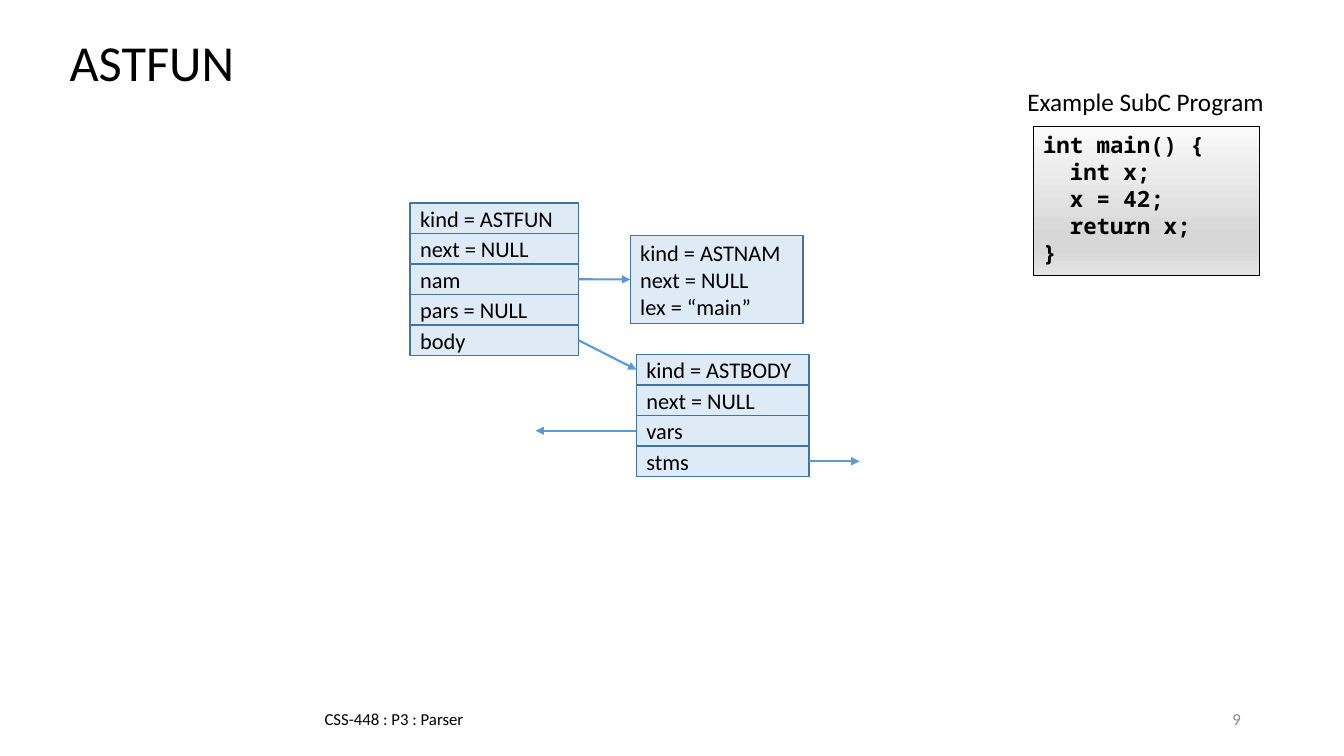
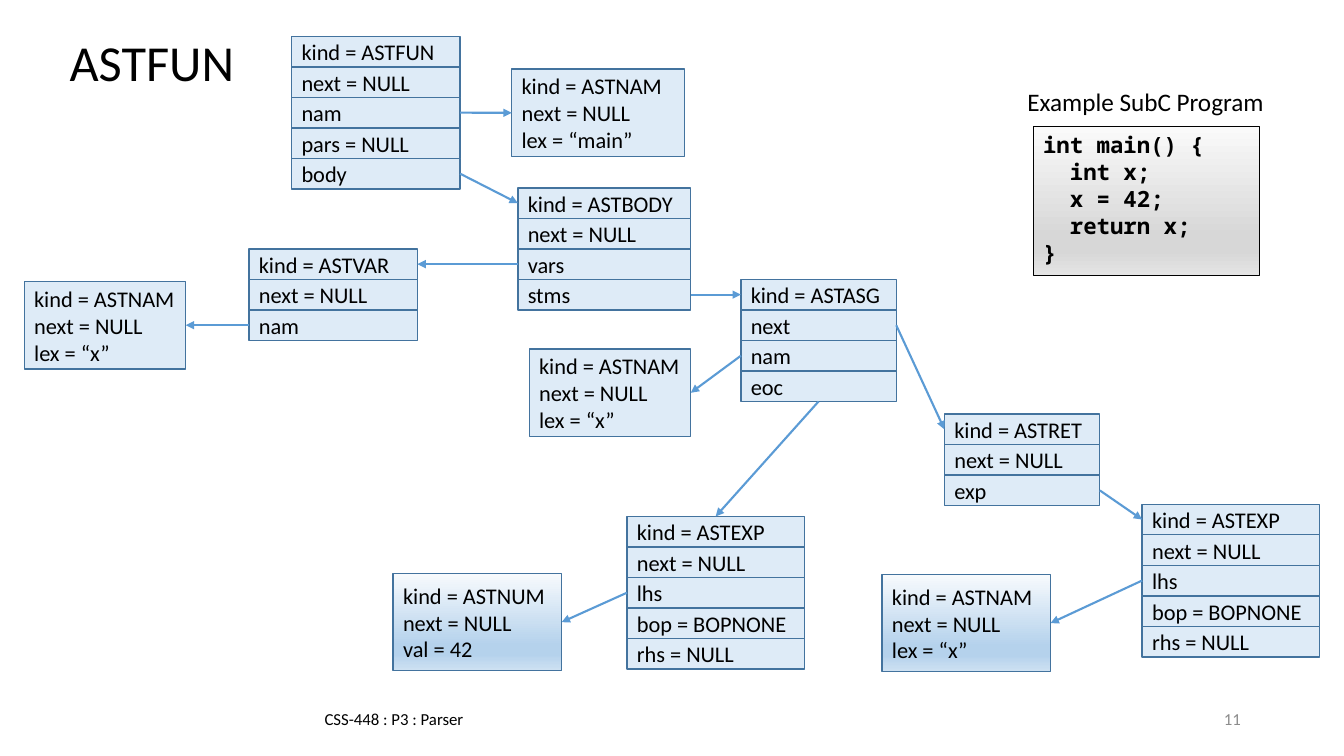
import pptx
import pptx.dml.color
import pptx.enum.shapes
import pptx.enum.text
import pptx.oxml.ns
import pptx.util
from lxml import etree

Pt = pptx.util.Pt
qn = pptx.oxml.ns.qn
ALIGN = pptx.enum.text.PP_ALIGN
ANCHOR = pptx.enum.text.MSO_ANCHOR

TOP, LEFT, BOTTOM, RIGHT = range(4)
BLACK, GREY = "000000", "8C8C8C"
NODE_FILL, NODE_LINE, ARROW = "DEEBF7", "43739E", "5B9BD5"
BLUE_FADE = ((0, "F7FAFD"), (74, "B5D2EC"), (83, "B5D2EC"), (100, "CEE1F2"))
GREY_FADE = ((0, "FAFAFA"), (74, "D7D7D7"), (83, "D7D7D7"), (100, "E4E4E4"))
BODY_FONT, CODE_FONT = "Calibri", "Noto Sans Mono"
ROW_HEIGHT = 21.8
FUN_WIDTH, BODY_WIDTH, NAME_WIDTH, STATEMENT_WIDTH, EXP_WIDTH = 120.4, 123.4, 115.4, 111, 126.8
PROGRAM = ("int main() {", "  int x;", "  x = 42;", "  return x;", "}")
X_NAME = ("kind = ASTNAM", "next = NULL", "lex = “x”")
EXPRESSION = ("kind = ASTEXP", "next = NULL", "lhs", "bop = BOPNONE", "rhs = NULL")


def rgb(value):
    return pptx.dml.color.RGBColor.from_string(value)


def write(frame, lines, size, color=BLACK, font=BODY_FONT, bold=False,
          align=ALIGN.LEFT, anchor=ANCHOR.MIDDLE, spacing=None):
    frame.word_wrap = True
    frame.vertical_anchor = anchor
    for index, line in enumerate(lines):
        paragraph = frame.add_paragraph() if index else frame.paragraphs[0]
        paragraph.alignment = align
        if spacing:
            paragraph.line_spacing = spacing
        run = paragraph.add_run()
        run.text = line
        run.font.size = Pt(size)
        run.font.name = font
        run.font.bold = bold
        run.font.color.rgb = rgb(color)


def fade(shape, stops):
    shape.fill.gradient()
    shape.fill.gradient_angle = 270
    stop_list = next(shape._element.spPr.iter(qn("a:gsLst")))
    for stop in list(stop_list):
        stop_list.remove(stop)
    for percent, color in stops:
        stop = etree.SubElement(stop_list, qn("a:gs"), pos=str(percent * 1000))
        etree.SubElement(stop, qn("a:srgbClr"), val=color)


def add_panel(slide, left, top, width, height, fill, line, line_width):
    panel = slide.shapes.add_shape(
        pptx.enum.shapes.MSO_SHAPE.RECTANGLE, Pt(left), Pt(top), Pt(width), Pt(height))
    panel.shadow.inherit = False
    if isinstance(fill, str):
        panel.fill.solid()
        panel.fill.fore_color.rgb = rgb(fill)
    else:
        fade(panel, fill)
    panel.line.color.rgb = rgb(line)
    panel.line.width = Pt(line_width)
    return panel


def add_node(slide, left, top, width, lines, height=62.8, fill=NODE_FILL):
    node = add_panel(slide, left, top, width, height, fill, NODE_LINE, 1)
    frame = node.text_frame
    frame.margin_top = frame.margin_bottom = frame.margin_right = 0
    write(frame, lines, 16)
    return node


def add_record(slide, left, top, width, fields):
    return [add_node(slide, left, top + index * ROW_HEIGHT, width, [field], ROW_HEIGHT)
            for index, field in enumerate(fields)]


def add_arrow(slide, source, side, target=None, target_side=LEFT, reach=0):
    arrow = slide.shapes.add_connector(
        pptx.enum.shapes.MSO_CONNECTOR.STRAIGHT, 0, 0, 0, 0)
    arrow.begin_connect(source, side)
    if target is not None:
        arrow.end_connect(target, target_side)
    else:
        arrow.end_x = arrow.begin_x + Pt(reach)
        arrow.end_y = arrow.begin_y
    arrow.line.width = Pt(1.5)
    arrow.line.color.rgb = rgb(ARROW)
    etree.SubElement(arrow.line._get_or_add_ln(), qn("a:tailEnd"), type="triangle")
    etree.SubElement(arrow._element.spPr, qn("a:effectLst"))


def add_label(slide, left, top, width, height, text, size, **style):
    label = slide.shapes.add_textbox(Pt(left), Pt(top), Pt(width), Pt(height))
    write(label.text_frame, [text], size, **style)


def add_ast_slide(deck, number):
    slide = deck.slides.add_slide(deck.slide_layouts[5])
    title = slide.shapes.title
    title.left, title.top, title.width, title.height = Pt(42.5), Pt(20.9), Pt(216), Pt(51.8)
    write(title.text_frame, ["ASTFUN"], 36, spacing=0.9)
    add_label(slide, 119.5, 499, 324, 28.8, "CSS-448 : P3 : Parser", 12, align=ALIGN.CENTER)
    add_label(slide, 677.5, 499, 216, 28.8, number, 12, color=GREY, align=ALIGN.RIGHT)
    add_label(slide, 719.3, 58.3, 198, 29, "Example SubC Program", 18,
              align=ALIGN.CENTER, anchor=ANCHOR.TOP)
    program = add_panel(slide, 738, 90.2, 162, 106.6, GREY_FADE, BLACK, 0.75)
    write(program.text_frame, PROGRAM, 16, font=CODE_FONT, bold=True,
          anchor=ANCHOR.TOP, spacing=Pt(19.3))
    return slide


def add_function(slide, left, top):
    function = add_record(slide, left, top, FUN_WIDTH,
                          ("kind = ASTFUN", "next = NULL", "nam", "pars = NULL", "body"))
    name = add_node(slide, left + 157.2, top + 23.2, BODY_WIDTH,
                    ("kind = ASTNAM", "next = NULL", "lex = “main”"))
    body = add_record(slide, left + 161.6, top + 108.2, BODY_WIDTH,
                      ("kind = ASTBODY", "next = NULL", "vars", "stms"))
    add_arrow(slide, function[2], RIGHT, name)
    add_arrow(slide, function[4], RIGHT, body[0])
    return body


def add_function_slide(deck):
    slide = add_ast_slide(deck, "9")
    body = add_function(slide, 293, 145)
    add_arrow(slide, body[2], LEFT, reach=-72)
    add_arrow(slide, body[3], RIGHT, reach=36)


def add_full_tree_slide(deck):
    slide = add_ast_slide(deck, "11")
    body = add_function(slide, 208.3, 26)

    variable = add_record(slide, 177.8, 177.8, FUN_WIDTH,
                          ("kind = ASTVAR", "next = NULL", "nam"))
    variable_name = add_node(slide, 17.3, 200.9, NAME_WIDTH, X_NAME)
    assignment = add_record(slide, 529.2, 199.6, STATEMENT_WIDTH,
                            ("kind = ASTASG", "next", "nam", "eoc"))
    assigned_name = add_node(slide, 378, 249.2, NAME_WIDTH, X_NAME)
    value = add_record(slide, 447.8, 368.9, EXP_WIDTH, EXPRESSION)
    number = add_node(slide, 280.8, 409.7, FUN_WIDTH,
                      ("kind = ASTNUM", "next = NULL", "val = 42"), 69.4, BLUE_FADE)
    returning = add_record(slide, 674.6, 295.8, STATEMENT_WIDTH,
                           ("kind = ASTRET", "next = NULL", "exp"))
    result = add_record(slide, 815.8, 360.2, EXP_WIDTH, EXPRESSION)
    result_name = add_node(slide, 630, 410.4, FUN_WIDTH, X_NAME, 69.4, BLUE_FADE)

    for source, side, target, target_side in (
        (body[2], LEFT, variable[0], RIGHT),
        (variable[2], LEFT, variable_name, RIGHT),
        (body[3], RIGHT, assignment[0], LEFT),
        (assignment[1], RIGHT, returning[0], LEFT),
        (assignment[2], LEFT, assigned_name, RIGHT),
        (assignment[3], BOTTOM, value[0], TOP),
        (value[2], LEFT, number, RIGHT),
        (returning[2], RIGHT, result[0], LEFT),
        (result[2], LEFT, result_name, RIGHT),
    ):
        add_arrow(slide, source, side, target, target_side)


def main():
    deck = pptx.Presentation()
    deck.slide_width, deck.slide_height = Pt(960), Pt(540)
    add_function_slide(deck)
    add_full_tree_slide(deck)
    deck.save("out.pptx")


if __name__ == "__main__":
    main()
